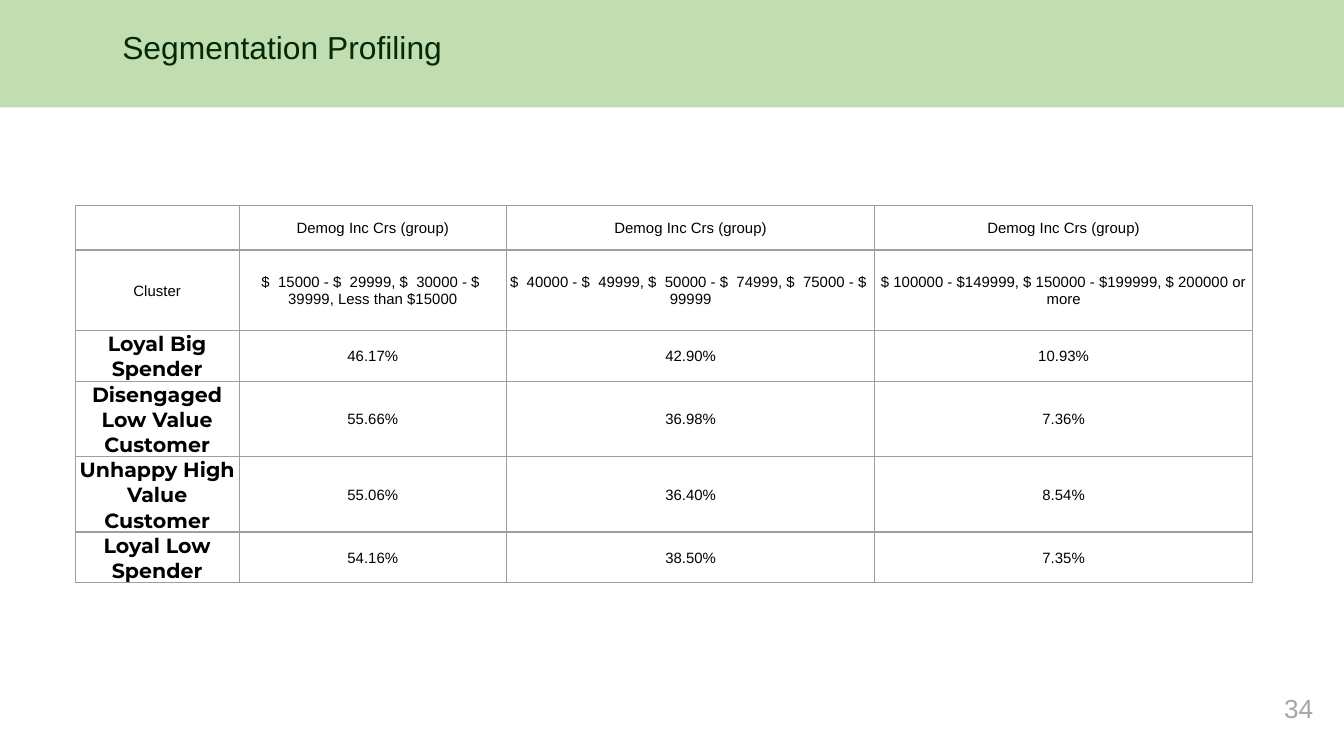
from dataclasses import dataclass

from lxml.etree import SubElement
from pptx import Presentation
from pptx.dml.color import RGBColor
from pptx.enum.shapes import MSO_SHAPE as Shape
from pptx.enum.text import MSO_ANCHOR as Anchor, PP_ALIGN as Align
from pptx.oxml.ns import qn
from pptx.util import Inches, Pt

WIDTH = 10
HEIGHT = WIDTH * 9 / 16
BORDER = "9E9E9E"
COLUMN_WIDTHS = (1.22, 1.99, 2.74, 2.81)
ROW_HEIGHTS = (0.33, 0.6) + (0.33,) * 4
GROUP = "Demog Inc Crs (group)"
HEADER_ROWS = (
    ("", GROUP, GROUP, GROUP),
    (
        "Cluster",
        "$  15000 - $  29999, $  30000 - $  39999, Less than $15000",
        "$  40000 - $  49999, $  50000 - $  74999, $  75000 - $  99999",
        "$ 100000 - $149999, $ 150000 - $199999, $ 200000 or more",
    ),
)


@dataclass(frozen=True)
class Style:
    size: float
    color: str
    font: str = "Arial"
    bold: bool = False


@dataclass(frozen=True)
class Segment:
    name: str
    shares: tuple[float, float, float]


TITLE = Style(17, "032A06")
NUMBER = Style(14, "A6A6A6")
BODY = Style(8, "000000")
SEGMENT_NAME = Style(11, "000000", "Montserrat", True)

SEGMENTS = (
    Segment("Loyal Big Spender", (46.17, 42.90, 10.93)),
    Segment("Disengaged Low Value Customer", (55.66, 36.98, 7.36)),
    Segment("Unhappy High Value Customer", (55.06, 36.40, 8.54)),
    Segment("Loyal Low Spender", (54.16, 38.50, 7.35)),
)


def rgb(color: str) -> RGBColor:
    return RGBColor.from_string(color)


def write(frame, text: str, style: Style, align: Align) -> None:
    paragraph = frame.paragraphs[0]
    paragraph.alignment = align
    run = paragraph.add_run()
    run.text = text
    run.font.name, run.font.size, run.font.bold = style.font, Pt(style.size), style.bold
    run.font.color.rgb = rgb(style.color)


def add_band(slide) -> None:
    band = slide.shapes.add_shape(Shape.RECTANGLE, 0, 0, Inches(WIDTH), Inches(0.8))
    band.shadow.inherit = False
    band.fill.solid()
    band.fill.fore_color.rgb = rgb("C2DDAF")
    band.line.fill.background()
    # Send behind the title placeholder
    slide.shapes._spTree.insert(2, band._element)


def set_title(slide, text: str) -> None:
    title = slide.shapes.title
    title.left, title.top = Inches(0.81), Inches(0.11)
    title.width, title.height = Inches(8.51), Inches(0.51)
    frame = title.text_frame
    frame.vertical_anchor = Anchor.TOP
    frame.margin_left = frame.margin_right = Inches(0.1)
    frame.margin_top = frame.margin_bottom = Inches(0.1)
    write(frame, text, TITLE, Align.LEFT)


def add_page_number(slide, number: int) -> None:
    box = slide.shapes.add_textbox(Inches(9.27), Inches(5.1), Inches(0.6), Inches(0.43))
    box.text_frame.word_wrap = True
    write(box.text_frame, str(number), NUMBER, Align.RIGHT)


def format_cell(cell) -> None:
    """Set margins, borders and no fill."""
    cell.vertical_anchor = Anchor.MIDDLE
    cell.margin_left = cell.margin_right = cell.margin_top = Inches(0.01)
    cell.margin_bottom = 0
    properties = cell._tc.get_or_add_tcPr()
    for side in ("a:lnL", "a:lnR", "a:lnT", "a:lnB"):
        line = SubElement(properties, qn(side), w=str(Pt(0.75)))
        fill = SubElement(line, qn("a:solidFill"))
        SubElement(fill, qn("a:srgbClr"), val=BORDER)
    cell.fill.background()


def add_profile_table(slide) -> None:
    rows = HEADER_ROWS + tuple(
        (segment.name, *(f"{share:.2f}%" for share in segment.shares))
        for segment in SEGMENTS
    )
    table = slide.shapes.add_table(
        len(rows), len(COLUMN_WIDTHS), Inches(0.56), Inches(1.53),
        Inches(sum(COLUMN_WIDTHS)), Inches(sum(ROW_HEIGHTS)),
    ).table
    table.first_row = table.horz_banding = False
    for column, width in zip(table.columns, COLUMN_WIDTHS):
        column.width = Inches(width)
    for row, height in zip(table.rows, ROW_HEIGHTS):
        row.height = Inches(height)
    for i, texts in enumerate(rows):
        for j, text in enumerate(texts):
            cell = table.cell(i, j)
            format_cell(cell)
            is_name = j == 0 and i >= len(HEADER_ROWS)
            if text:
                write(cell.text_frame, text, SEGMENT_NAME if is_name else BODY, Align.CENTER)


def main() -> None:
    presentation = Presentation()
    presentation.slide_width, presentation.slide_height = Inches(WIDTH), Inches(HEIGHT)
    title_only = presentation.slide_layouts[5]
    slide = presentation.slides.add_slide(title_only)
    add_band(slide)
    add_page_number(slide, 34)
    set_title(slide, "Segmentation Profiling")
    add_profile_table(slide)
    presentation.save("out.pptx")


if __name__ == "__main__":
    main()
